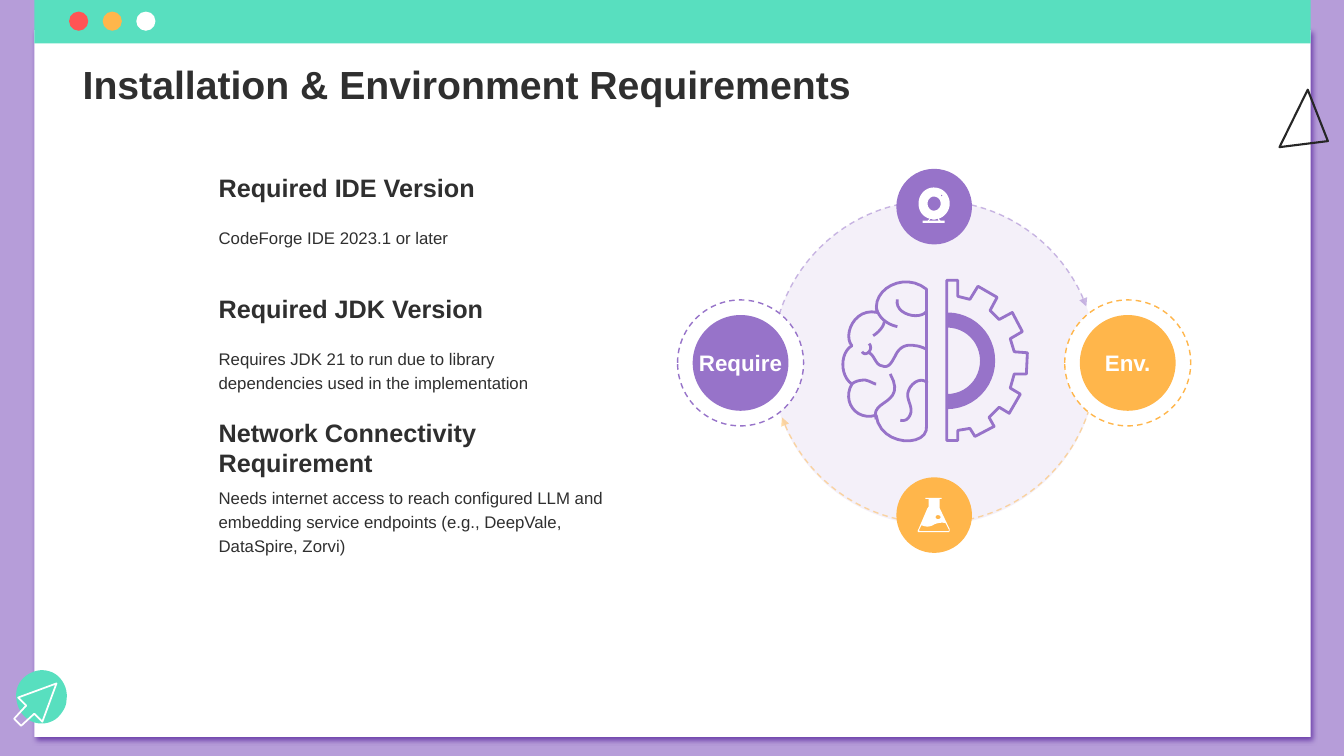
from lxml import etree
from pptx import Presentation
from pptx.dml.color import RGBColor
from pptx.enum.dml import MSO_LINE
from pptx.enum.shapes import MSO_SHAPE
from pptx.enum.text import MSO_ANCHOR, MSO_AUTO_SIZE, PP_ALIGN
from pptx.oxml.ns import qn
from pptx.util import Inches, Pt

OVAL, RECTANGLE, ARC = MSO_SHAPE.OVAL, MSO_SHAPE.RECTANGLE, MSO_SHAPE.ARC
DASH = MSO_LINE.DASH
LEFT, CENTER = PP_ALIGN.LEFT, PP_ALIGN.CENTER
TOP, MIDDLE, BOTTOM = MSO_ANCHOR.TOP, MSO_ANCHOR.MIDDLE, MSO_ANCHOR.BOTTOM
WIDTH, HEIGHT = 13.33, 7.5
FONT = "Arial"
COLORS = {
    "backdrop": "B69DD9", "purple": "9773C9", "shadow": "6E42AB", "mint": "58DFBF",
    "red": "FF5454", "orange": "FFB64B", "white": "FFFFFF", "ink": "2F2F2F", "black": "262626",
}

# Outlines are in hundredths of an inch from the corner of their box.
BRAIN = ("M 89 152 C 92 174 43 174 39 142 C 19 148 5 128 15 111 C 3 103 3 80 15 73 "
         "C 6 63 17 35 40 40 C 34 17 67 -1 89 17 Z")
FOLDS = [
    "M 39 35 C 41 45 50 52 60 54",
    "M 60 27 C 57 42 82 48 89 39",
    "M 47 49 C 47 54 40 61 36 63",
    "M 32 80 C 38 83 38 92 45 93 C 52 96 55 88 58 83 C 62 74 69 71 78 73 C 81 73 86 75 88 76",
    "M 25 79 C 29 85 37 76 32 71",
    "M 90 110 C 83 103 73 111 71 118 C 68 126 76 133 73 141 C 71 146 68 148 63 147",
    "M 39 146 C 32 126 70 132 53 101",
    "M 14 112 C 17 108 24 107 28 107 C 33 108 37 111 39 111",
]
GEAR = ("M 188 101 L 189 80 L 176 79 L 172 66 L 184 59 L 174 40 L 161 47 L 152 38 L 159 25 "
        "L 140 14 L 132 27 L 120 24 L 120 8 L 109 8 L 109 167 L 120 167 L 120 157 L 132 155 "
        "L 137 163 L 156 153 L 151 144 L 161 134 L 171 140 L 182 121 L 172 115 L 176 101 Z")
GEAR_HUB = ("M 109 40 L 109 55 C 128 55 142 70 142 88 C 142 106 128 121 109 121 L 109 136 "
            "C 136 136 157 114 157 88 C 157 61 136 40 109 40 Z")
WEBCAM = ("M 16 1 C 25 1 32 8 32 17 C 32 24 27 30 21 32 L 23 34 L 27 34 L 27 36 L 5 36 L 5 34 "
          "L 10 34 L 12 32 C 5 30 1 24 1 17 C 1 8 8 1 16 1 Z "
          "M 13 32 L 11 34 L 21 34 L 20 32 C 19 32 18 33 16 33 C 15 33 14 32 13 32 Z "
          "M 16 10 C 13 10 10 13 10 17 C 10 21 13 24 16 24 C 20 24 23 21 23 17 C 23 13 20 10 16 10 Z "
          "M 24 8 L 25 9 L 24 10 L 23 9 Z")
FLASK = ("M 1 34 C 0 34 0 32 1 31 L 10 10 L 11 9 L 11 1 L 8 1 L 8 0 L 24 0 L 24 1 L 22 1 L 22 9 "
         "L 22 10 L 32 31 C 32 33 32 34 30 34 L 2 34 Z "
         "M 17 26 C 13 29 8 29 4 27 L 2 31 C 1 32 2 33 3 33 L 30 33 C 31 33 32 32 31 31 L 28 25 "
         "C 24 24 20 25 17 26 Z "
         "M 20 17 C 19 17 18 18 18 19 C 18 20 19 21 20 21 C 22 21 23 20 23 19 C 23 18 22 17 20 17 Z")
BADGE = ("M 14 48 C 23 55 36 54 44 47 C 49 42 53 36 53 29 C 55 17 47 4 36 1 "
         "C 24 -3 10 4 5 15 C 0 26 5 42 14 48 Z")
CURSOR = "M 8 55 L 1 48 L 13 35 L 5 27 L 43 13 L 29 51 L 21 43 Z"
TRIANGLE = "M 1 58 L 29 1 L 49 52 Z"

REQUIREMENTS = [  # top, width, heading, detail
    (1.58, 4.21, "Required IDE Version", "CodeForge IDE 2023.1 or later"),
    (2.78, 3.36, "Required JDK Version",
     "Requires JDK 21 to run due to library dependencies used in the implementation"),
    (4.16, 4.21, "Network Connectivity Requirement",
     "Needs internet access to reach configured LLM and embedding service endpoints "
     "(e.g., DeepVale, DataSpire, Zorvi)"),
]


def rgb(name):
    return RGBColor.from_string(COLORS[name])


def set_alpha(shape, percent):
    for color in shape._element.spPr.iter(qn("a:srgbClr")):
        etree.SubElement(color, qn("a:alpha"), val=str(percent * 1000))


def paint(shape, fill=None, line=None, weight=1, dash=None):
    shape.shadow.inherit = False
    if fill:
        shape.fill.solid()
        shape.fill.fore_color.rgb = rgb(fill)
    else:
        shape.fill.background()
    if line:
        shape.line.color.rgb = rgb(line)
        shape.line.width = Pt(weight)
        shape.line.dash_style = dash
    else:
        shape.line.fill.background()
    return shape


def add_preset(page, kind, left, top, width, height, **style):
    box = [Inches(length) for length in (left, top, width, height)]
    return paint(page.shapes.add_shape(kind, *box), **style)


def add_circle(page, center_x, center_y, size, **style):
    return add_preset(page, OVAL, center_x - size / 2, center_y - size / 2, size, size, **style)


def bezier(points, steps=12):
    for step in range(1, steps + 1):
        t = step / steps
        weights = ((1 - t) ** 3, 3 * t * (1 - t) ** 2, 3 * t * t * (1 - t), t ** 3)
        yield tuple(sum(w * p[axis] for w, p in zip(weights, points)) for axis in (0, 1))


def add_outline(page, outline, left, top, **style):
    """Draw an M/L/C/Z outline, with curves as short line segments."""
    def place(point):
        return Inches(left + point[0] / 100), Inches(top + point[1] / 100)

    builder = None
    for contour in outline.split("M ")[1:]:
        closed = "Z" in contour
        tokens = iter(contour.replace("Z", "").split())
        points = [(int(next(tokens)), int(next(tokens)))]
        for command in tokens:
            count = 3 if command == "C" else 1
            targets = [(int(next(tokens)), int(next(tokens))) for _ in range(count)]
            points += bezier([points[-1]] + targets) if command == "C" else targets
        start, *rest = [place(point) for point in points]
        if builder is None:
            builder = page.shapes.build_freeform(*start, scale=1.0)
        else:
            builder.move_to(*start)
        builder.add_line_segments(rest, close=closed)
    return paint(builder.convert_to_shape(), **style)


def write(shape, text, size, color="ink", bold=False, align=LEFT, spacing=None, **frame_format):
    frame = shape.text_frame
    settings = {"auto_size": MSO_AUTO_SIZE.NONE, "word_wrap": True, **frame_format}
    for name, value in settings.items():
        setattr(frame, name, value)
    para = frame.paragraphs[0]
    para.alignment, para.line_spacing = align, spacing
    span = para.add_run()
    span.text = text
    for name, value in {"name": FONT, "size": Pt(size), "bold": bold}.items():
        setattr(span.font, name, value)
    span.font.color.rgb = rgb(color)


def draw_window(page, left, width):
    page.background.fill.solid()
    page.background.fill.fore_color.rgb = rgb("backdrop")
    sheet = add_preset(page, RECTANGLE, left, 0.3, width, 7.01, fill="white")
    effects = sheet._element.spPr.find(qn("a:effectLst"))
    shadow = etree.SubElement(effects, qn("a:outerShdw"), blurRad=str(Pt(4)), dist=str(Pt(3)),
                              dir="2700000", algn="bl", rotWithShape="0")
    etree.SubElement(shadow, qn("a:srgbClr"), val=COLORS["shadow"])
    add_preset(page, RECTANGLE, left, 0, width, 0.43, fill="mint")
    for index, color in enumerate(("red", "orange", "white")):
        add_circle(page, left + 0.44 + index / 3, 0.21, 0.19, fill=color)
    add_outline(page, BADGE, 0.13, 6.65, fill="mint")
    add_outline(page, CURSOR, 0.13, 6.65, line="white", weight=1.25)
    add_outline(page, TRIANGLE, 12.68, 0.88, line="black", weight=1.5)


def draw_brain_gear(page, left, top):
    for outline in [BRAIN, *FOLDS, GEAR]:
        add_outline(page, outline, left, top, line="purple", weight=2)
    add_outline(page, GEAR_HUB, left, top, fill="purple")


def draw_cycle(page, left, top, width, height):
    center_x, center_y = left + width / 2, top + height / 2 + 0.02
    disc = 3.22
    set_alpha(add_circle(page, center_x, center_y, disc, fill="purple"), 10)
    for color, turn, shift in (("purple", 0, 0), ("orange", 180, -0.02)):
        arc = add_preset(page, ARC, center_x - disc / 2, center_y - disc / 2 + shift, disc, disc,
                         line=color, dash=DASH)
        for index, degrees in enumerate((197.41, 339.66)):
            arc.adjustments[index] = degrees * 0.6
        arc.rotation = turn
        set_alpha(arc, 50)
        etree.SubElement(arc.line._get_or_add_ln(), qn("a:tailEnd"), type="triangle")
    draw_brain_gear(page, left + 1.58, top + 1.02)
    for color, y, icon, icon_top in (("purple", top + 0.37, WEBCAM, top + 0.17),
                                     ("orange", top + height - 0.37, FLASK, top + 3.26)):
        add_circle(page, center_x, y, 0.75, fill=color)
        add_outline(page, icon, left + 2.38, icon_top, fill="white")
    ring = 1.25
    for color, x, label in (("purple", left + ring / 2, "Require"),
                            ("orange", left + width - ring / 2, "Env.")):
        add_circle(page, x, center_y, ring, fill="white", line=color, dash=DASH)
        node = add_circle(page, x, center_y, 0.95, fill=color)
        write(node, label, 16, "white", True, CENTER, word_wrap=False, vertical_anchor=MIDDLE)


def add_text(page, left, top, width, height, *content, **style):
    box = [Inches(length) for length in (left, top, width, height)]
    write(page.shapes.add_textbox(*box), *content, **style)


def draw_requirements(page, left):
    for top, width, heading, detail in REQUIREMENTS:
        add_text(page, left, top + 0.59, width, 1.23, detail, 12, spacing=1.2,
                 vertical_anchor=TOP)
        add_text(page, left, top, width, 0.56, heading, 18, bold=True, vertical_anchor=MIDDLE)


def place_title(page, text, **box):
    title = page.shapes.title
    for name, length in box.items():
        setattr(title, name, Inches(length))
    write(title, text, 28, bold=True, vertical_anchor=BOTTOM)
    title.element.getparent().append(title.element)


def main():
    deck = Presentation()
    deck.slide_width, deck.slide_height = Inches(WIDTH), Inches(HEIGHT)
    page = deck.slides.add_slide(deck.slide_layouts.get_by_name("Title Only"))
    draw_window(page, 0.34, 12.66)
    draw_cycle(page, 6.72, 1.68, 5.09, 3.8)
    draw_requirements(page, 2.07)
    place_title(page, "Installation & Environment Requirements",
                left=0.72, top=0.14, width=11.88, height=0.98)
    deck.save("out.pptx")


if __name__ == "__main__":
    main()
